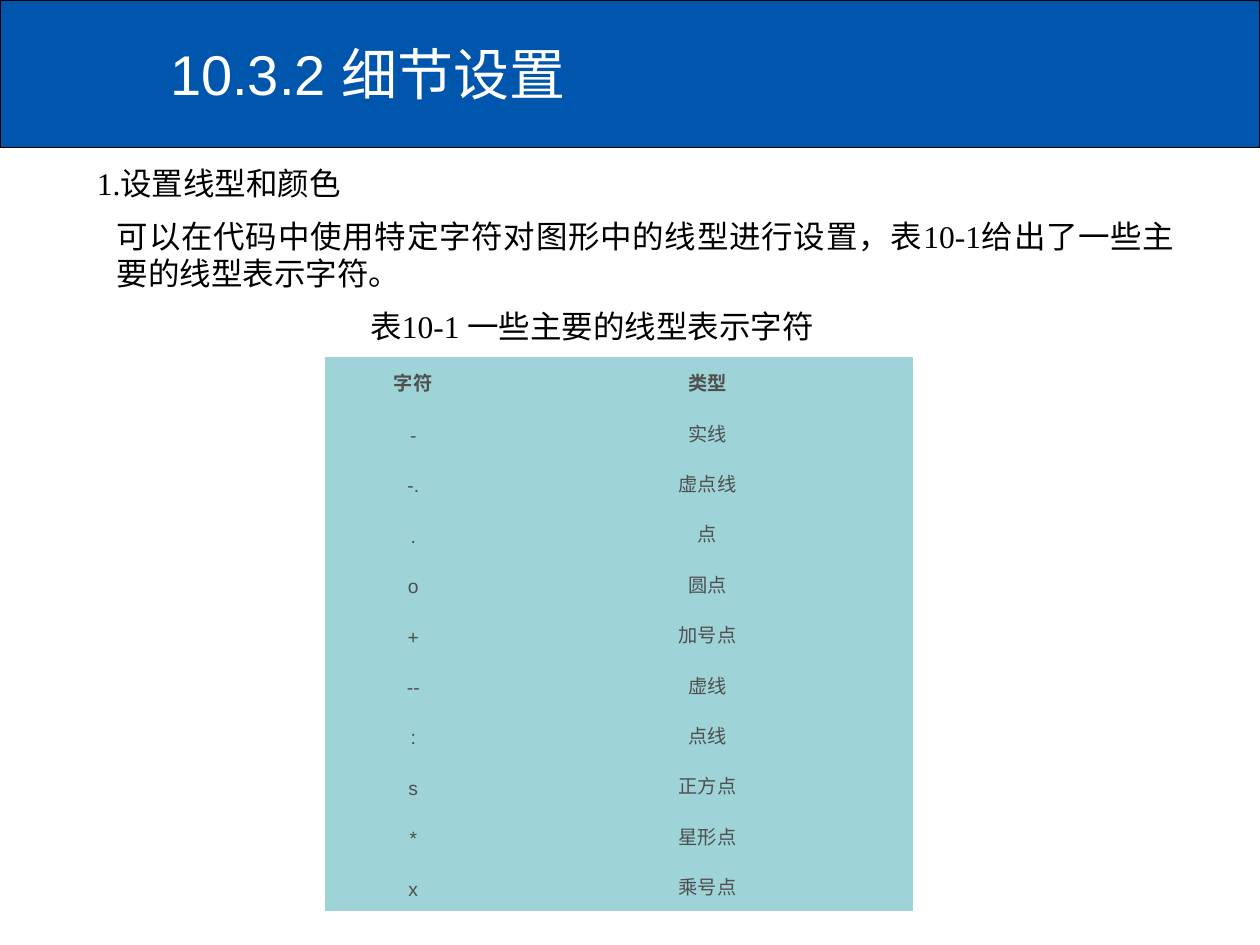
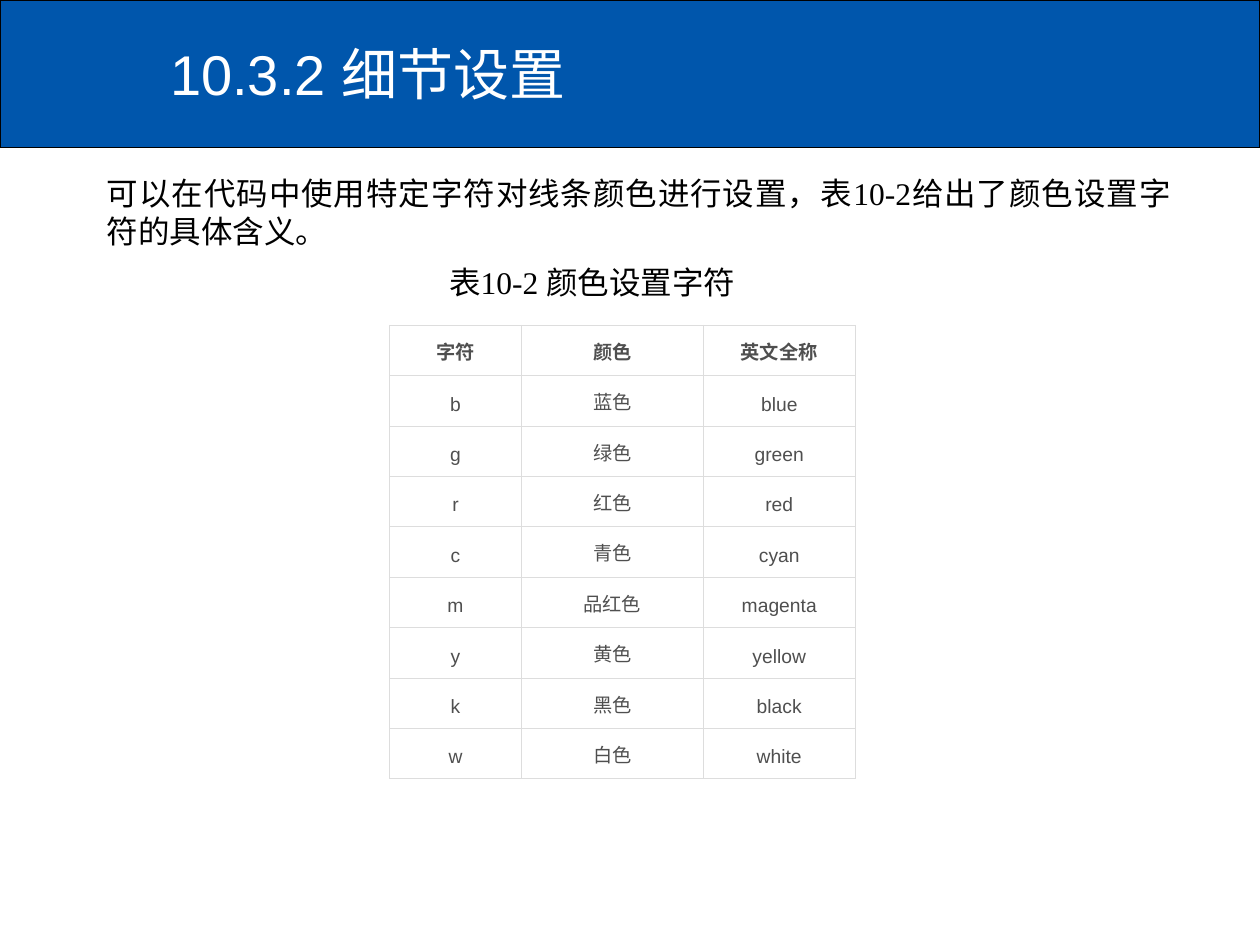
from lxml import etree
from pptx import Presentation
from pptx.dml.color import RGBColor
from pptx.enum.lang import MSO_LANGUAGE_ID
from pptx.enum.shapes import MSO_SHAPE
from pptx.enum.text import MSO_ANCHOR, MSO_AUTO_SIZE, PP_ALIGN
from pptx.oxml.ns import qn
from pptx.util import Inches, Pt

LEFT, CENTER, JUSTIFY = PP_ALIGN.LEFT, PP_ALIGN.CENTER, PP_ALIGN.JUSTIFY
MIDDLE = MSO_ANCHOR.MIDDLE
FIT_SHAPE, NO_FIT = MSO_AUTO_SIZE.SHAPE_TO_FIT_TEXT, MSO_AUTO_SIZE.NONE
RECTANGLE = MSO_SHAPE.RECTANGLE
CHINESE = MSO_LANGUAGE_ID.SIMPLIFIED_CHINESE

BAND_BLUE, BLACK, WHITE = "0056AC", "000000", "FFFFFF"
TABLE_TEAL, TABLE_TEXT, TABLE_BORDER = "9ED3D7", "4F4F4F", "DDDDDD"
HEADING_FONT, BODY_FONT = "Arial", "Times New Roman"
PLAIN_TABLE_STYLE = "{2D5ABB26-0587-4C30-8999-92F81FD0307C}"
ROW_HEIGHT = 0.4
SECTION = "10.3.2 细节设置"

LINE_STYLES = [
    ("字符", "类型"), ("-", "实线"), ("-.", "虚点线"), (".", "点"),
    ("o", "圆点"), ("+", "加号点"), ("--", "虚线"), (":", "点线"),
    ("s", "正方点"), ("*", "星形点"), ("x", "乘号点"),
]
LINE_COLOURS = [
    ("字符", "颜色", "英文全称"), ("b", "蓝色", "blue"), ("g", "绿色", "green"),
    ("r", "红色", "red"), ("c", "青色", "cyan"), ("m", "品红色", "magenta"),
    ("y", "黄色", "yellow"), ("k", "黑色", "black"), ("w", "白色", "white"),
]


def colour(hex_value):
    return RGBColor.from_string(hex_value)


def write_text(frame, text, size=18, font=BODY_FONT, ink=BLACK, bold=False,
               align=JUSTIFY, spacing=None):
    paragraph = frame.paragraphs[0]
    paragraph.alignment = align
    if spacing:
        paragraph.line_spacing = Pt(spacing)
    run = paragraph.add_run()
    run.text = text
    run.font.size = Pt(size)
    run.font.name = font
    run.font.bold = bold
    run.font.color.rgb = colour(ink)
    run.font.language_id = CHINESE


def add_band(slide):
    """Put the blue title band on the layout, behind its title."""
    band = slide.shapes.add_shape(RECTANGLE, 0, 0, Inches(10), Inches(1.17))
    band.shadow.inherit = False
    band.fill.solid()
    band.fill.fore_color.rgb = colour(BAND_BLUE)
    band.line.color.rgb = colour(BLACK)
    band.line.width = Pt(0.75)
    layout_title, *footers = slide.slide_layout.placeholders
    for footer in footers:
        footer.element.getparent().remove(footer.element)
    layout_title.element.addprevious(band.element)


def add_titled_slide(deck, text):
    slide = deck.slides.add_slide(deck.slide_layouts[5])
    title = slide.shapes.title
    title.left, title.top = Inches(1.25), Inches(0.08)
    title.width, title.height = Inches(8.75), Inches(1)
    title.text_frame.vertical_anchor = MIDDLE
    title.text_frame.auto_size = NO_FIT
    write_text(title.text_frame, text, size=32, font=HEADING_FONT, ink=WHITE,
               align=LEFT)
    return slide


def add_passage(slide, text, left, top, width, height=0.4, **text_format):
    passage = slide.shapes.add_textbox(
        Inches(left), Inches(top), Inches(width), Inches(height))
    frame = passage.text_frame
    frame.word_wrap = True
    frame.auto_size = FIT_SHAPE
    write_text(frame, text, **text_format)


def add_caption(slide, text, top):
    add_passage(slide, text, 1.92, top, 5.56, align=CENTER)


def set_borders(cell, hex_value, points):
    properties = cell._tc.get_or_add_tcPr()
    for position, side in enumerate(("lnL", "lnR", "lnT", "lnB")):
        edge = etree.Element(qn(f"a:{side}"), w=str(Pt(points)))
        fill = etree.SubElement(edge, qn("a:solidFill"))
        etree.SubElement(fill, qn("a:srgbClr"), val=hex_value)
        properties.insert(position, edge)


def add_symbol_table(slide, rows, left, top, widths, fill=None, border=None):
    frame = slide.shapes.add_table(
        len(rows), len(widths), Inches(left), Inches(top),
        Inches(sum(widths)), Inches(ROW_HEIGHT * len(rows)))
    table = frame.table
    table.horz_banding = False
    table._tbl.tblPr.find(qn("a:tableStyleId")).text = PLAIN_TABLE_STYLE
    for column, width in zip(table.columns, widths):
        column.width = Inches(width)
    for row_number, row in enumerate(rows):
        table.rows[row_number].height = Inches(ROW_HEIGHT)
        for column_number, text in enumerate(row):
            cell = table.cell(row_number, column_number)
            cell.vertical_anchor = MIDDLE
            cell.margin_left = cell.margin_right = Inches(0.08)
            cell.margin_top = cell.margin_bottom = Inches(0.05)
            write_text(cell.text_frame, text, size=11, font=HEADING_FONT,
                       ink=TABLE_TEXT, bold=row_number == 0, align=CENTER,
                       spacing=16.5)
            if fill:
                cell.fill.solid()
                cell.fill.fore_color.rgb = colour(fill)
            else:
                cell.fill.background()
            if border:
                set_borders(cell, border, 0.34)


def main():
    deck = Presentation()
    deck.slide_width, deck.slide_height = Inches(10), Inches(7.5)

    # Line styles
    styles = add_titled_slide(deck, SECTION)
    add_band(styles)
    add_passage(styles, "1.设置线型和颜色", 0.67, 1.25, 5.56)
    add_passage(styles, "可以在代码中使用特定字符对图形中的线型进行设置，"
                "表10-1给出了一些主要的线型表示字符。", 0.83, 1.67, 8.59, 0.7)
    add_caption(styles, "表10-1 一些主要的线型表示字符", 2.39)
    add_symbol_table(styles, LINE_STYLES, 2.58, 2.83, (1.4, 3.27),
                     fill=TABLE_TEAL)

    # Line colours
    colours = add_titled_slide(deck, SECTION)
    add_passage(colours, "可以在代码中使用特定字符对线条颜色进行设置，"
                "表10-2给出了颜色设置字符的具体含义。", 0.75, 1.33, 8.64, 0.7)
    add_caption(colours, "表10-2 颜色设置字符", 2.04)
    add_symbol_table(colours, LINE_COLOURS, 3.09, 2.58, (1.05, 1.44, 1.21),
                     border=TABLE_BORDER)

    deck.save("out.pptx")


if __name__ == "__main__":
    main()
